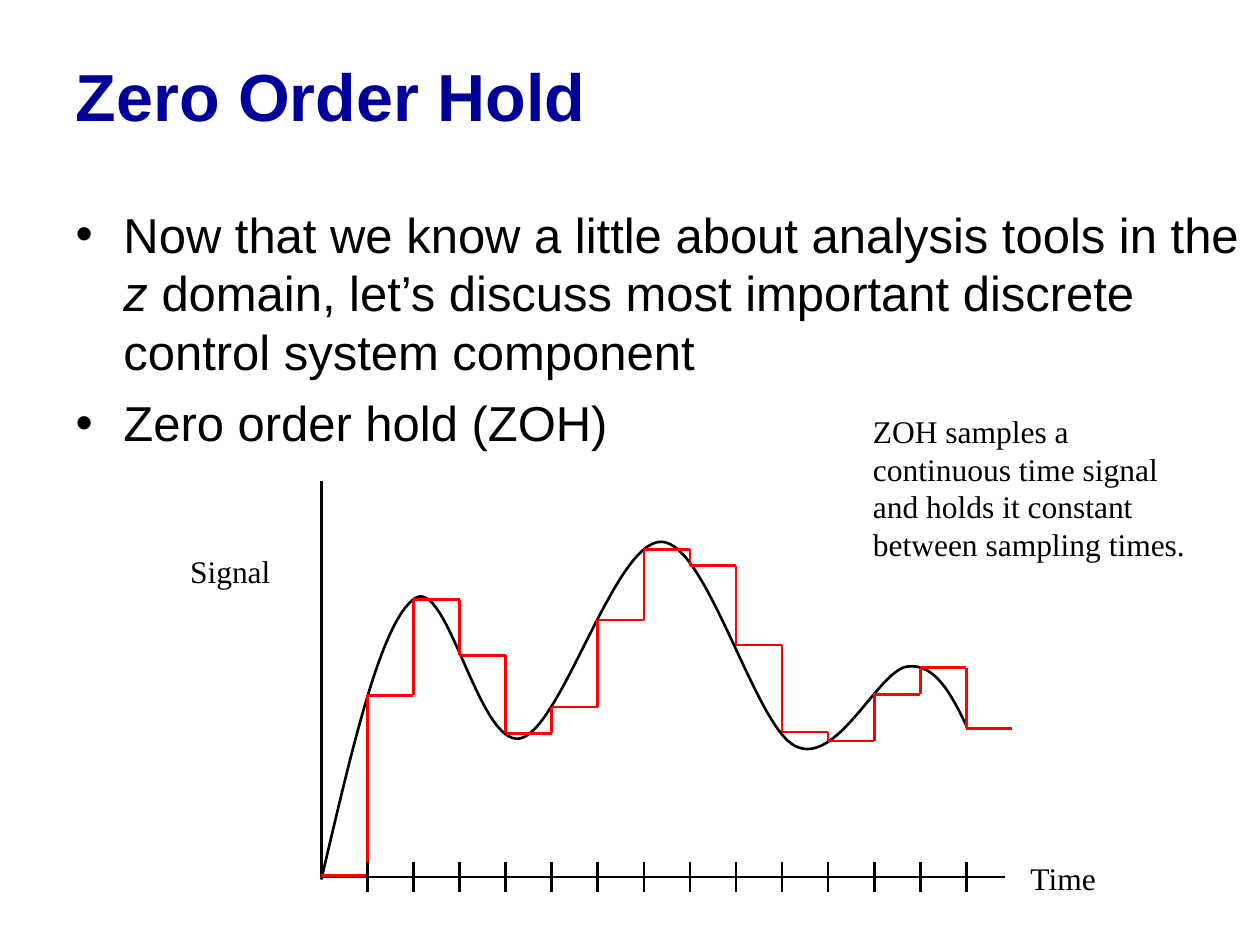
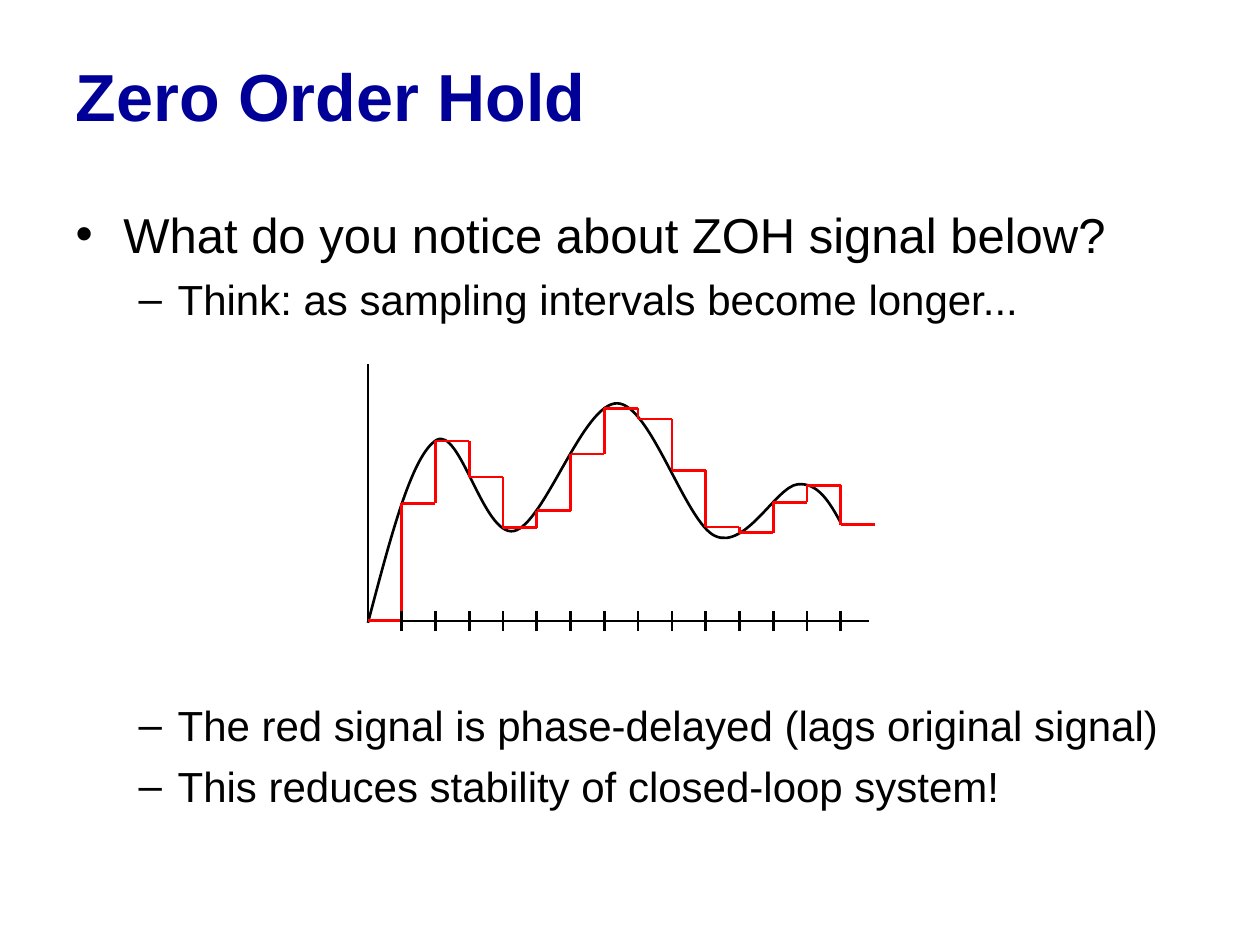
"""Builds two slides that show how a zero order hold samples a continuous signal."""
from dataclasses import dataclass

from lxml import etree
from pptx import Presentation
from pptx.dml.color import RGBColor
from pptx.enum import shapes, text
from pptx.oxml.ns import qn
from pptx.util import Inches, Pt


@dataclass(frozen=True)
class Theme:
    title_color = RGBColor(0x00, 0x00, 0x99)
    ink = RGBColor(0x00, 0x00, 0x00)
    held = RGBColor(0xFF, 0x00, 0x00)
    font = "Arial"
    label_font = "Times New Roman"
    title_size = 38
    body_sizes = (28, 24)
    body_space = (7, 6)
    body_indents = ((0.38, -0.38), (0.81, -0.31))
    label_size = 18
    line_height = 1.2
    line_width = Pt(1.5)


theme = Theme()


def format_paragraph(paragraph, font_name, size, color, bold=False):
    paragraph.alignment = text.PP_ALIGN.LEFT
    paragraph.line_spacing = Pt(size * theme.line_height)
    for run in paragraph.runs:
        run.font.name = font_name
        run.font.size = Pt(size)
        run.font.bold = bold
        run.font.color.rgb = color


def add_line(canvas, color, x1, y1, x2, y2):
    connector = canvas.add_connector(
        shapes.MSO_CONNECTOR.STRAIGHT, Inches(x1), Inches(y1), Inches(x2), Inches(y2))
    connector.line.color.rgb = color
    connector.line.width = theme.line_width
    etree.SubElement(connector._element.spPr, qn("a:effectLst"))


TITLE = "Zero Order Hold"
SAMPLE_COUNT = 14
SIGNAL_WIDTH = 5.12
AXIS_WIDTH, AXIS_HEIGHT = 5.43, 3.14
TICK_REACH = 0.12
HELD_LEVELS = [0.01, 1.44, 2.2, 1.76, 1.14, 1.35, 2.04, 2.6,
               2.47, 1.84, 1.15, 1.08, 1.45, 1.66, 1.18]
CURVE_POINTS = [
    (0, -0.02), (0.24, 1), (0.47, 2.02), (0.74, 2.21), (1, 2.39), (1.25, 1.03),
    (1.58, 1.1), (1.91, 1.18), (2.33, 2.67), (2.7, 2.66), (3.06, 2.65),
    (3.44, 1.2), (3.76, 1.04), (4.09, 0.87), (4.42, 1.64), (4.65, 1.67),
    (4.87, 1.7), (5, 1.45), (5.12, 1.2)]

sub_step = theme.body_sizes[1] * theme.line_height + theme.body_space[1]
plot_gap = 6 * sub_step + theme.body_space[1]

SLIDES = [
    {"bullets": [
        (0, 0, ["Now that we know a little about analysis tools in the ", "z",
                " domain, let’s discuss most important discrete control system component"]),
        (0, theme.body_space[0], ["Zero order hold (ZOH)"])],
     "plot": (2.55, 6.96, 1, 1),
     "grouped": False,
     "labels": [
         ("Time", 8.08, 6.77, 0.81, 0.4),
         ("Signal", 1.41, 4.33, 0.92, 0.4),
         ("ZOH samples a continuous time signal and holds it constant "
          "between sampling times.", 6.83, 3.22, 2.76, 1.3)]},
    {"bullets": [
        (0, 0, ["What do you notice about ZOH signal below?"]),
        (1, theme.body_space[1], ["Think: as sampling intervals become longer..."]),
        (1, plot_gap, ["The red signal is phase-delayed (lags original signal)"]),
        (1, theme.body_space[1], ["This reduces stability of closed-loop system!"])],
     "plot": (2.92, 4.93, 0.733, 0.65),
     "grouped": True,
     "labels": []},
]

presentation = Presentation()
presentation.slide_width = Inches(10)
presentation.slide_height = Inches(7.5)

for content in SLIDES:
    slide = presentation.slides.add_slide(presentation.slide_layouts[1])

    title = slide.shapes.title
    title.left, title.top, title.width, title.height = map(Inches, (0.5, 0.25, 8.97, 1))
    title.text_frame.text = TITLE
    title.text_frame.auto_size = text.MSO_AUTO_SIZE.NONE
    title.text_frame.vertical_anchor = text.MSO_ANCHOR.MIDDLE
    format_paragraph(title.text_frame.paragraphs[0], theme.font, theme.title_size,
                     theme.title_color, bold=True)

    body = slide.placeholders[1]
    body.left, body.top, body.width, body.height = map(Inches, (0.5, 1.57, 9.52, 5.42))
    body.text_frame.auto_size = text.MSO_AUTO_SIZE.NONE
    for index, (level, space_before, pieces) in enumerate(content["bullets"]):
        paragraph = (body.text_frame.add_paragraph() if index
                     else body.text_frame.paragraphs[0])
        paragraph.level = level
        paragraph.space_before = Pt(space_before)
        margin, indent = theme.body_indents[level]
        properties = paragraph._p.get_or_add_pPr()
        properties.set("marL", str(Inches(margin)))
        properties.set("indent", str(Inches(indent)))
        for position, piece in enumerate(pieces):
            run = paragraph.add_run()
            run.text = piece
            run.font.italic = position % 2 == 1
        format_paragraph(paragraph, theme.font, theme.body_sizes[level], theme.ink)

    canvas = slide.shapes.add_group_shape().shapes if content["grouped"] else slide.shapes
    left, base, x_scale, y_scale = content["plot"]
    add_line(canvas, theme.ink, left, base - AXIS_HEIGHT * y_scale, left, base)
    add_line(canvas, theme.ink, left + AXIS_WIDTH * x_scale, base, left, base)

    points = [(Inches(left + x * x_scale), Inches(base - y * y_scale))
              for x, y in CURVE_POINTS]
    builder = canvas.build_freeform(*points[0])
    builder.add_line_segments(points[1:], close=False)
    signal = builder.convert_to_shape()
    signal.fill.background()
    signal.line.color.rgb = theme.ink
    signal.line.width = theme.line_width
    signal.shadow.inherit = False
    segments = list(signal._element.iter(qn("a:lnTo")))
    outline = segments[0].getparent()
    for start in range(0, len(segments), 3):
        bezier = etree.SubElement(outline, qn("a:cubicBezTo"))
        for segment in segments[start:start + 3]:
            bezier.append(segment[0])
            outline.remove(segment)

    step = SIGNAL_WIDTH / SAMPLE_COUNT * x_scale
    sample_x = [left + index * step for index in range(SAMPLE_COUNT + 1)]
    held_y = [base - level * y_scale for level in HELD_LEVELS]
    for x, y in zip(sample_x, held_y):
        add_line(canvas, theme.held, x, y, x + step, y)
    for x, before, after in zip(sample_x[1:], held_y, held_y[1:]):
        add_line(canvas, theme.held, x, before, x, after)
    reach = TICK_REACH * y_scale
    for x in sample_x[1:]:
        add_line(canvas, theme.ink, x, base + reach, x, base - reach)

    for words, *box in content["labels"]:
        label = slide.shapes.add_textbox(*map(Inches, box))
        label.text_frame.word_wrap = True
        label.text_frame.text = words
        format_paragraph(label.text_frame.paragraphs[0], theme.label_font,
                         theme.label_size, theme.ink)

presentation.save("out.pptx")
